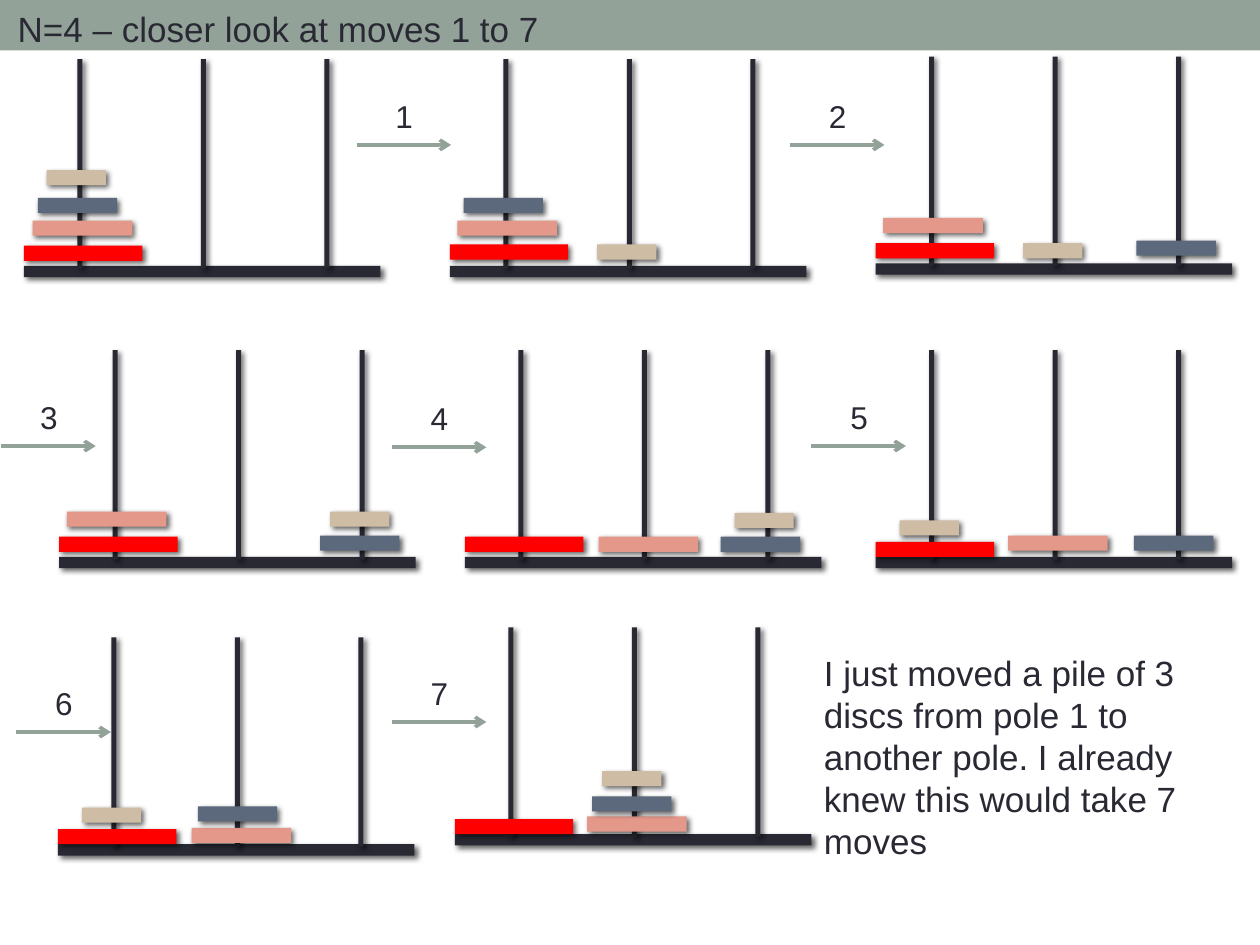
from lxml.etree import SubElement
from pptx import Presentation
from pptx.dml.color import RGBColor
from pptx.enum.shapes import MSO_CONNECTOR as Connector, MSO_SHAPE as Shape
from pptx.enum.text import MSO_ANCHOR as Anchor, MSO_AUTO_SIZE as AutoSize, PP_ALIGN as Align
from pptx.oxml.ns import qn
from pptx.util import Inches, Pt

DARK = RGBColor(0x29, 0x29, 0x34)
SAGE = RGBColor(0x93, 0xA2, 0x99)
RED = RGBColor(0xFF, 0x00, 0x00)
PINK = RGBColor(0xE4, 0x98, 0x8A)
BLUE = RGBColor(0x5C, 0x69, 0x7C)
TAN = RGBColor(0xCE, 0xBC, 0xA4)
BLACK = RGBColor(0x00, 0x00, 0x00)

DISCS = [(RED, 0.94), (PINK, 0.79), (BLUE, 0.63), (TAN, 0.47)]
DISC_HEIGHT = 0.12
BOARD_WIDTH, BOARD_HEIGHT, BOARD_TOP = 2.83, 0.09, 1.64
POLE_WIDTH, POLE_HEIGHT = 0.04, 1.66
FIRST_POLE, POLE_PITCH = 0.425, 0.98
ARROW_LENGTH = 0.75

TOWERS = [
    ((0.19, 0.47), [(0, 1.48), (0.07, 1.28), (0.11, 1.1), (0.18, 0.88)]),
    ((3.57, 0.47), [(0, 1.47), (0.06, 1.28), (0.11, 1.1), (1.17, 1.47)]),
    ((6.95, 0.45), [(0, 1.48), (0.06, 1.28), (2.07, 1.46), (1.17, 1.48)]),
    ((0.47, 2.78), [(0, 1.48), (0.06, 1.28), (2.07, 1.47), (2.15, 1.28)]),
    ((3.69, 2.78), [(0, 1.48), (1.06, 1.48), (2.03, 1.48), (2.14, 1.29)]),
    ((6.95, 2.78), [(0, 1.52), (1.05, 1.47), (2.05, 1.47), (0.19, 1.35)]),
    ((0.46, 5.06), [(0, 1.52), (1.06, 1.51), (1.11, 1.34), (0.19, 1.35)]),
    ((3.61, 4.98), [(0, 1.52), (1.05, 1.5), (1.09, 1.34), (1.17, 1.14)]),
]
MOVE_ARROWS = [
    (2.83, 1.15), (6.27, 1.15), (0.01, 3.54), (3.11, 3.55),
    (6.44, 3.54), (0.13, 5.81), (3.11, 5.73),
]


def write_text(shape, text, size=20, wrap=True):
    frame = shape.text_frame
    frame.text = text
    frame.word_wrap = wrap
    frame.auto_size = AutoSize.SHAPE_TO_FIT_TEXT
    frame.vertical_anchor = Anchor.TOP
    paragraph = frame.paragraphs[0]
    paragraph.alignment = Align.LEFT
    font = paragraph.runs[0].font
    font.name = "Arial"
    font.size = Pt(size)
    font.color.rgb = DARK


def add_bar(shapes, left, top, width, height, color, shadow=True):
    bar = shapes.add_shape(
        Shape.RECTANGLE, Inches(left), Inches(top), Inches(width), Inches(height)
    )
    bar.fill.solid()
    bar.fill.fore_color.rgb = color
    bar.line.fill.background()
    bar.shadow.inherit = False
    if shadow:
        effects = bar.element.spPr.find(qn("a:effectLst"))
        outer = SubElement(
            effects, qn("a:outerShdw"), blurRad=str(Pt(3)), dist=str(Pt(2)),
            dir=str(45 * 60000), algn="tl", rotWithShape="0",
        )
        shade = SubElement(outer, qn("a:srgbClr"), val=str(BLACK))
        SubElement(shade, qn("a:alpha"), val="60000")
    return bar


def add_header(slide, left, top, width, height):
    title = slide.shapes.title
    title.left, title.top = Inches(left + 0.04), Inches(top + 0.01)
    title.width, title.height = Inches(6.44), Inches(0.44)
    write_text(title, "N=4 – closer look at moves 1 to 7")
    band = add_bar(slide.shapes, left, top, width, height, SAGE, shadow=False)
    title.element.addprevious(band.element)


def add_tower(slide, left, top, disc_places):
    shapes = slide.shapes.add_group_shape().shapes
    add_bar(shapes, left, top + BOARD_TOP, BOARD_WIDTH, BOARD_HEIGHT, DARK)
    for pole in range(3):
        pole_left = left + FIRST_POLE + pole * POLE_PITCH
        add_bar(shapes, pole_left, top, POLE_WIDTH, POLE_HEIGHT, DARK)
    for (color, width), (across, down) in zip(DISCS, disc_places):
        add_bar(shapes, left + across, top + down, width, DISC_HEIGHT, color)


def add_move_arrow(slide, left, top, number):
    shapes = slide.shapes.add_group_shape().shapes
    arrow = shapes.add_connector(
        Connector.STRAIGHT, Inches(left), Inches(top),
        Inches(left + ARROW_LENGTH), Inches(top),
    )
    arrow.line.color.rgb = SAGE
    arrow.line.width = Pt(2.08)
    SubElement(arrow.line._get_or_add_ln(), qn("a:tailEnd"), type="arrow")
    SubElement(arrow.element.spPr, qn("a:effectLst"))
    label = shapes.add_textbox(
        Inches(left + 0.21), Inches(top - 0.43), Inches(0.3), Inches(0.4)
    )
    write_text(label, str(number), size=18, wrap=False)


def add_remark(slide, left, top, width, height):
    remark = slide.shapes.add_textbox(
        Inches(left), Inches(top), Inches(width), Inches(height)
    )
    write_text(
        remark,
        "I just moved a pile of 3 discs from pole 1 to another pole. "
        "I already knew this would take 7 moves",
    )


def main():
    presentation = Presentation()
    presentation.slide_width, presentation.slide_height = Inches(10), Inches(7.5)
    slide = presentation.slides.add_slide(presentation.slide_layouts[5])
    add_header(slide, 0, 0, 10, 0.4)
    for (left, top), disc_places in TOWERS:
        add_tower(slide, left, top, disc_places)
    for number, (left, top) in enumerate(MOVE_ARROWS, start=1):
        add_move_arrow(slide, left, top, number)
    add_remark(slide, 6.44, 5.12, 3.49, 1.78)
    presentation.save("out.pptx")


if __name__ == "__main__":
    main()
